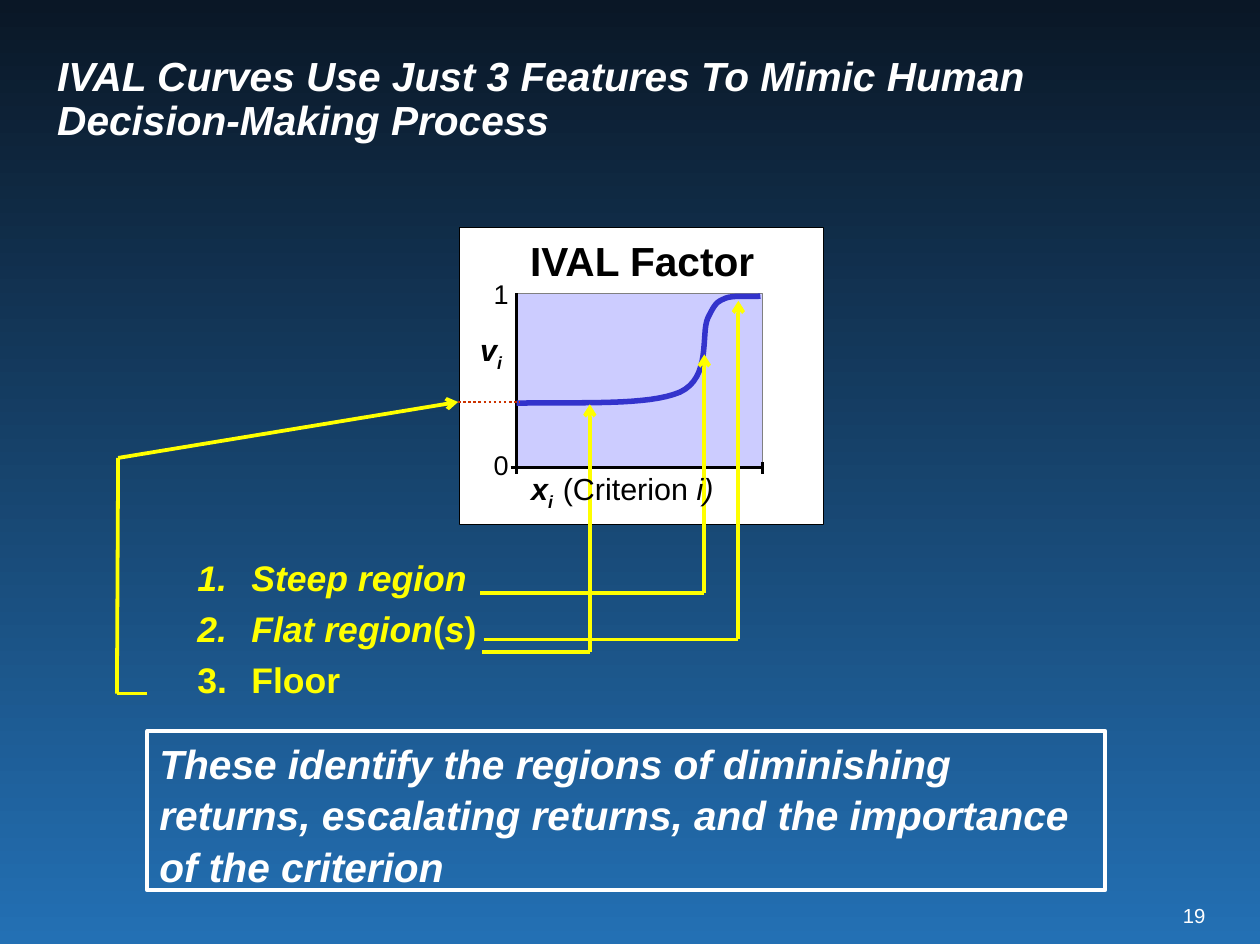
"""Build the slide on the three features of IVAL curves."""
from dataclasses import dataclass
from itertools import pairwise
from typing import Any, NamedTuple

from lxml.etree import SubElement as Sub
from pptx import Presentation as Deck
from pptx.dml.color import RGBColor as RGB
from pptx.enum.dml import MSO_LINE as Dash
from pptx.enum.shapes import MSO_CONNECTOR as Link, MSO_SHAPE as Form
from pptx.enum.text import MSO_ANCHOR as Anchor, MSO_AUTO_SIZE as Auto, PP_ALIGN as Align
from pptx.oxml.ns import qn
from pptx.util import Pt

Spot = tuple[float, float]
Area = tuple[float, float, float, float]


@dataclass(frozen=True)
class Theme:
    font: str = "Arial"
    dark: str = "0A1726"
    blue: str = "2370B4"
    white: str = "FFFFFF"
    black: str = "000000"
    yellow: str = "FFFF00"
    pale: str = "CCCCFF"
    gray: str = "808080"
    curve: str = "3333CC"
    red: str = "CC3300"
    head: float = 24
    list: float = 21
    axis: float = 18
    tick: float = 16
    page: float = 12
    hair: float = 0
    thin: float = 0.75
    dots: float = 1.5
    bold: float = 2.25
    thick: float = 3.25


class Run(NamedTuple):
    text: str
    bold: bool = False
    slant: bool = False
    sub: bool = False


class Label(NamedTuple):
    area: Area
    size: float
    runs: tuple[Run, ...]
    color: str
    align: Align = Align.LEFT


class Box(NamedTuple):
    area: Area
    fill: str | None = None
    line: str | None = None
    width: float = 0


class Trail(NamedTuple):
    spots: tuple[Spot, ...]
    color: str
    width: float
    arrow: bool = False
    dash: Dash | None = None


T = Theme()
LEFT, TOP, RIGHT, BASE, TICK = 305.3, 173.5, 450.7, 276.5, 3.6
PLOT = (LEFT, TOP, RIGHT - LEFT, BASE - TOP)
BOXES = (
    Box((271.4, 134.6, 215.3, 175.7), T.white, T.black, T.hair),
    Box(PLOT, T.pale),
    Box(PLOT, None, T.gray, T.thin),
)
AXES = tuple(Trail(spots, T.black, T.hair) for spots in (
    ((LEFT, TOP), (LEFT, BASE)),
    ((LEFT - TICK, BASE), (LEFT + TICK, BASE)),
    ((LEFT, BASE), (RIGHT, BASE)),
    *(((x, BASE + TICK), (x, BASE - TICK)) for x in (LEFT, RIGHT)),
))
LABELS = (
    Label((697, 534, 15.2, 15), T.page, (Run("19"),), T.white, Align.RIGHT),
    Label((313.2, 139.7, 145, 29), T.head, (Run("IVAL Factor", True),), T.black),
    Label((291.6, 265, 12, 19), T.tick, (Run("0"),), T.black),
    Label((291.6, 164.2, 12, 19), T.tick, (Run("1"),), T.black),
    Label((283.7, 195.8, 18, 22), T.axis,
          (Run("v", True, True), Run("i", True, True, True)), T.black),
)
NAME = Label((313.9, 277.9, 132.5, 22), T.axis,
             (Run("x", True, True), Run("i  ", True, True, True),
              Run("(Criterion "), Run("i)", False, True)), T.black)
CURVE = (
    (305.3, 238.3), (344.2, 237.6), (383, 239.8), (401.8, 231.8),
    (420.5, 223.2), (414, 197.3), (418.3, 187.9),
    (422.6, 179.3), (423.4, 178.6), (428.4, 176.4),
    (433.4, 174.2), (445, 175.7), (449.3, 175),
)
DOTS = Trail(((270.7, 237.6), (307.4, 237.6)), T.red, T.dots, dash=Dash.ROUND_DOT)
TRAILS = tuple(Trail(spots, T.yellow, T.bold, True) for spots in (
    ((87.1, 410), (69.1, 410), (69.8, 270.7), (270.7, 237.6)),
    ((285.8, 378), (436.3, 378), (436.3, 177.8)),
    ((285.1, 385.2), (348.5, 385.2), (348.5, 239)),
    ((283.7, 350.6), (416.2, 350.6), (416.2, 209.5)),
))
TITLE = Label((26.6, 20.2, 609.8, 77.8), T.head, (Run(
    "IVAL Curves Use Just 3 Features To Mimic Human Decision-Making Process",
    True, True),), T.white)
NOTE = Label((87.1, 432, 565.9, 94.3), T.head, (Run(
    "These identify the regions of diminishing returns, escalating returns, "
    "and the importance of the criterion", True, True),), T.white)
STEPS = (
    (Run("Steep region", True, True),),
    (Run("Flat region", True, True), Run("(", True), Run("s", True, True), Run(")", True)),
    (Run("Floor", True),),
)


def put(thing: Any, **vals: Any) -> None:
    for key, val in vals.items():
        setattr(thing, key, val)


def place(area: Area) -> list[int]:
    return [Pt(n) for n in area]


def write(para: Any, runs: tuple[Run, ...], size: float, color: str) -> None:
    for item in runs:
        run = para.add_run()
        run.text = item.text
        put(run.font, name=T.font, size=Pt(size), bold=item.bold, italic=item.slant)
        run.font.color.rgb = RGB.from_string(color)
        if item.sub:
            run._r.get_or_add_rPr().set("baseline", "-25000")


def stroke(line: Any, color: str, width: float) -> None:
    line.color.rgb = RGB.from_string(color)
    line.width = Pt(width)


def add_box(shapes: Any, box: Box) -> Any:
    shape = shapes.add_shape(Form.RECTANGLE, *place(box.area))
    shape.shadow.inherit = False
    if box.fill:
        shape.fill.solid()
        shape.fill.fore_color.rgb = RGB.from_string(box.fill)
    else:
        shape.fill.background()
    if box.line:
        stroke(shape.line, box.line, box.width)
    else:
        shape.line.fill.background()
    return shape


def add_frame(shapes: Any, area: Area) -> Any:
    frame = shapes.add_textbox(*place(area)).text_frame
    put(frame, word_wrap=True, margin_left=0, margin_right=0, margin_top=0, margin_bottom=0)
    return frame


def add_label(shapes: Any, label: Label) -> None:
    para = add_frame(shapes, label.area).paragraphs[0]
    para.alignment = label.align
    write(para, label.runs, label.size, label.color)


def add_trail(shapes: Any, trail: Trail) -> None:
    for start, end in pairwise(trail.spots):
        link = shapes.add_connector(Link.STRAIGHT, *place((*start, *end)))
        stroke(link.line, trail.color, trail.width)
        if trail.dash:
            link.line.dash_style = trail.dash
        if trail.arrow and end == trail.spots[-1]:
            Sub(link.line._get_or_add_ln(), qn("a:tailEnd"), type="arrow")
        Sub(link._element.spPr, qn("a:effectLst"))


def bend(knots: tuple[Spot, ...], steps: int = 16) -> list[Spot]:
    spots = [knots[0]]
    for i in range(0, len(knots) - 1, 3):
        for t in (n / steps for n in range(1, steps + 1)):
            parts = ((1 - t) ** 3, 3 * t * (1 - t) ** 2, 3 * t * t * (1 - t), t ** 3)
            x, y = (sum(p * k for p, k in zip(parts, axis)) for axis in zip(*knots[i:i + 4]))
            spots.append((x, y))
    return spots


def add_curve(shapes: Any) -> None:
    first, *rest = [(Pt(x), Pt(y)) for x, y in bend(CURVE)]
    path = shapes.build_freeform(*first)
    path.add_line_segments(rest, close=False)
    shape = path.convert_to_shape()
    shape.shadow.inherit = False
    shape.fill.background()
    stroke(shape.line, T.curve, T.thick)


def add_steps(shapes: Any) -> None:
    frame = add_frame(shapes, (116.6, 328.5, 200, 88))
    for i, runs in enumerate(STEPS):
        para = frame.add_paragraph() if i else frame.paragraphs[0]
        para.space_after = Pt(5)
        props = para._p.get_or_add_pPr()
        props.set("marL", str(Pt(32)))
        props.set("indent", str(Pt(-32)))
        Sub(props, qn("a:buFont"), typeface=T.font)
        Sub(props, qn("a:buAutoNum"), type="arabicPeriod")
        write(para, runs, T.list, T.yellow)


def fill_text(shape: Any, label: Label, gap: Any, anchor: Anchor) -> None:
    put(shape.text_frame, word_wrap=True, auto_size=Auto.NONE, vertical_anchor=anchor)
    para = shape.text_frame.paragraphs[0]
    put(para, alignment=label.align, line_spacing=gap)
    write(para, label.runs, label.size, label.color)


def main() -> None:
    deck = Deck()
    put(deck, slide_width=Pt(744.48), slide_height=Pt(558))
    slide = deck.slides.add_slide(deck.slide_layouts[5])
    shapes = slide.shapes
    back = slide.background.fill
    back.gradient()
    back.gradient_angle = 270
    for stop, color, spot in zip(back.gradient_stops, (T.dark, T.blue), (0, 1)):
        stop.color.rgb = RGB.from_string(color)
        stop.position = spot
    put(shapes.title, **dict(zip(("left", "top", "width", "height"), place(TITLE.area))))
    fill_text(shapes.title, TITLE, Pt(26), Anchor.MIDDLE)
    add_steps(shapes)
    note = add_box(shapes, Box(NOTE.area, None, T.white, T.bold))
    fill_text(note, NOTE, 1.05, Anchor.TOP)
    for box in BOXES:
        add_box(shapes, box)
    for axis in AXES:
        add_trail(shapes, axis)
    for label in LABELS:
        add_label(shapes, label)
    add_curve(shapes)
    add_trail(shapes, DOTS)
    for trail in TRAILS:
        add_trail(shapes.add_group_shape().shapes, trail)
    add_label(shapes, NAME)
    deck.save("out.pptx")


if __name__ == "__main__":
    main()
